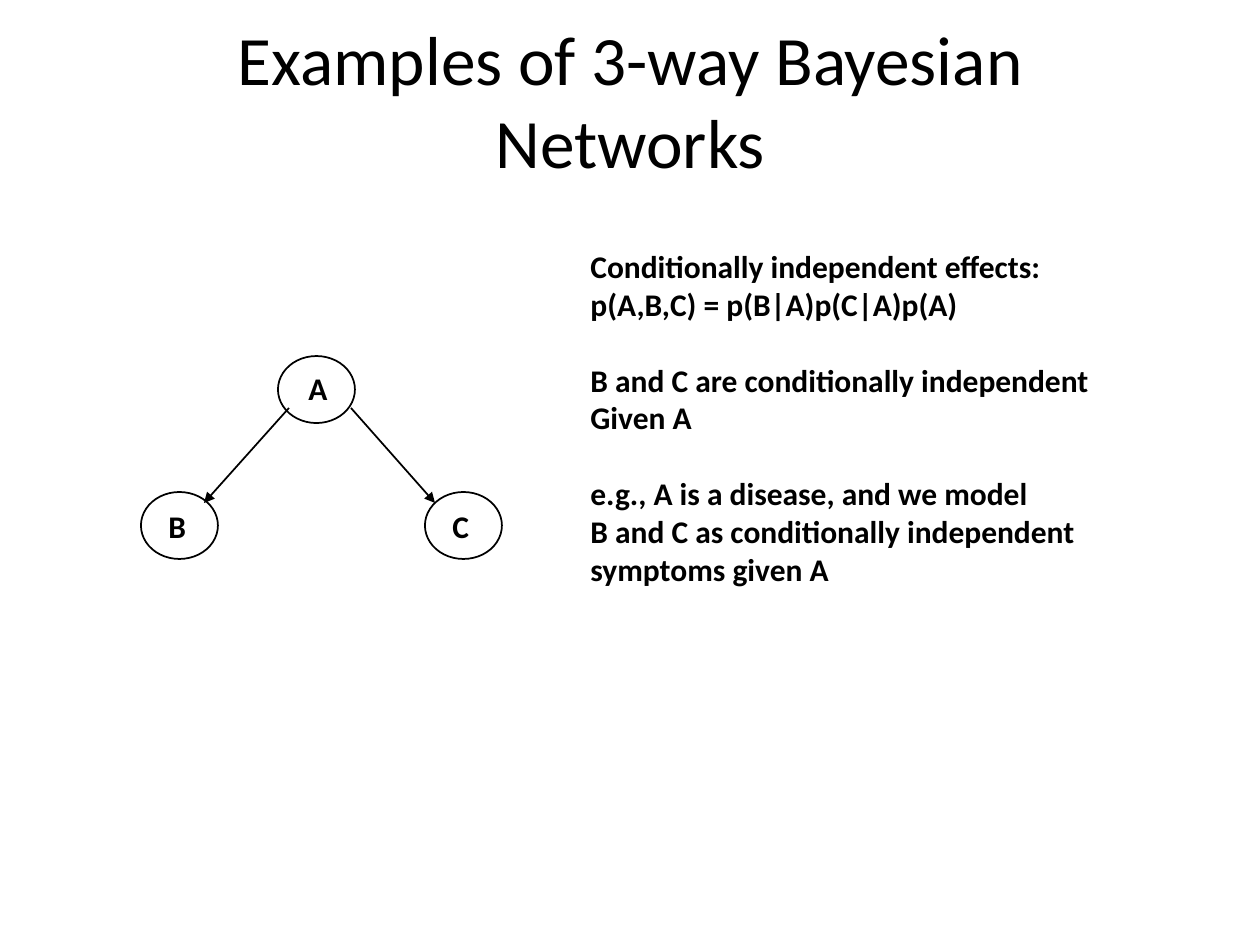
import dataclasses

import pptx
import pptx.dml.color
import pptx.enum.shapes
import pptx.enum.text
import pptx.oxml.ns
import pptx.util
from lxml import etree

PX = 914400 / 126


@dataclasses.dataclass(frozen=True)
class Theme:
    """Colours, type and line sizes of the slide."""
    ink: pptx.dml.color.RGBColor = pptx.dml.color.RGBColor(0, 0, 0)
    font: str = "Calibri"
    title: float = 39.6
    body: float = 18
    line: float = 1
    gap: float = 21.6


THEME = Theme()
NODE_SIZE = (77, 67)
LABEL_SIZE = (48, 50)
NODES = {
    "A": ((278, 356), (296, 363)),
    "B": ((141, 492), (156, 501)),
    "C": ((425, 492), (440, 501)),
}
EDGES = [((289, 408), (204, 503)), ((351, 408), (435, 503))]
EXPLANATION = [
    ["Conditionally independent effects:", "p(A,B,C) = p(B|A)p(C|A)p(A)"],
    ["B and C are conditionally independent", "Given A"],
    ["e.g., A is a disease, and we model",
     "B and C as conditionally independent", "symptoms given A"],
]


def px(*values):
    """Turn picture pixels into EMU."""
    return [round(value * PX) for value in values]


def style_text(p, size, bold=False):
    """Format every run of a paragraph."""
    for r in p.runs:
        r.font.name = THEME.font
        r.font.size = pptx.util.Pt(size)
        r.font.bold = bold
        r.font.color.rgb = THEME.ink


def style_line(line):
    """Give an outline the theme colour and width."""
    line.color.rgb = THEME.ink
    line.width = pptx.util.Pt(THEME.line)


def set_title(slide, text):
    """Fill and place the title placeholder."""
    sp = slide.shapes.title
    sp.left, sp.top, sp.width, sp.height = px(95, 21, 1071, 157)
    tf = sp.text_frame
    tf.text = text
    tf.vertical_anchor = pptx.enum.text.MSO_ANCHOR.MIDDLE
    p = tf.paragraphs[0]
    p.alignment = pptx.enum.text.PP_ALIGN.CENTER
    style_text(p, THEME.title)


def add_text(slide, lines, *box):
    """Add an unwrapped bold text box and return its paragraphs."""
    sp = slide.shapes.add_textbox(*px(*box))
    tf = sp.text_frame
    tf.word_wrap = False
    tf.text = "\n".join(lines)
    for p in tf.paragraphs:
        style_text(p, THEME.body, bold=True)
    return tf.paragraphs


def add_node(slide, label, corner, label_corner):
    """Add a network node with its label."""
    sp = slide.shapes.add_shape(
        pptx.enum.shapes.MSO_SHAPE.OVAL, *px(*corner, *NODE_SIZE))
    sp.shadow.inherit = False
    sp.fill.background()
    style_line(sp.line)
    add_text(slide, [label], *label_corner, *LABEL_SIZE)


def add_arrow(slide, start, end):
    """Add a straight arrow between two points."""
    cxn = slide.shapes.add_connector(
        pptx.enum.shapes.MSO_CONNECTOR.STRAIGHT, *px(*start, *end))
    style_line(cxn.line)
    qn = pptx.oxml.ns.qn
    ln = cxn._element.spPr.find(qn("a:ln"))
    etree.SubElement(ln, qn("a:tailEnd"), type="triangle")
    etree.SubElement(cxn._element.spPr, qn("a:effectLst"))


def add_explanation(slide, groups):
    """Add the explanation, with a gap before each later group."""
    lines = [line for group in groups for line in group]
    paragraphs = add_text(slide, lines, 578, 241, 599, 391)
    start = 0
    for group in groups[:-1]:
        start += len(group)
        paragraphs[start].space_before = pptx.util.Pt(THEME.gap)


def main():
    """Build and save the slide."""
    prs = pptx.Presentation()
    prs.slide_width, prs.slide_height = px(1260, 945)
    slide = prs.slides.add_slide(prs.slide_layouts[5])
    set_title(slide, "Examples of 3-way Bayesian Networks")
    for label, (corner, label_corner) in NODES.items():
        add_node(slide, label, corner, label_corner)
    for start, end in EDGES:
        add_arrow(slide, start, end)
    add_explanation(slide, EXPLANATION)
    prs.save("out.pptx")


main()
